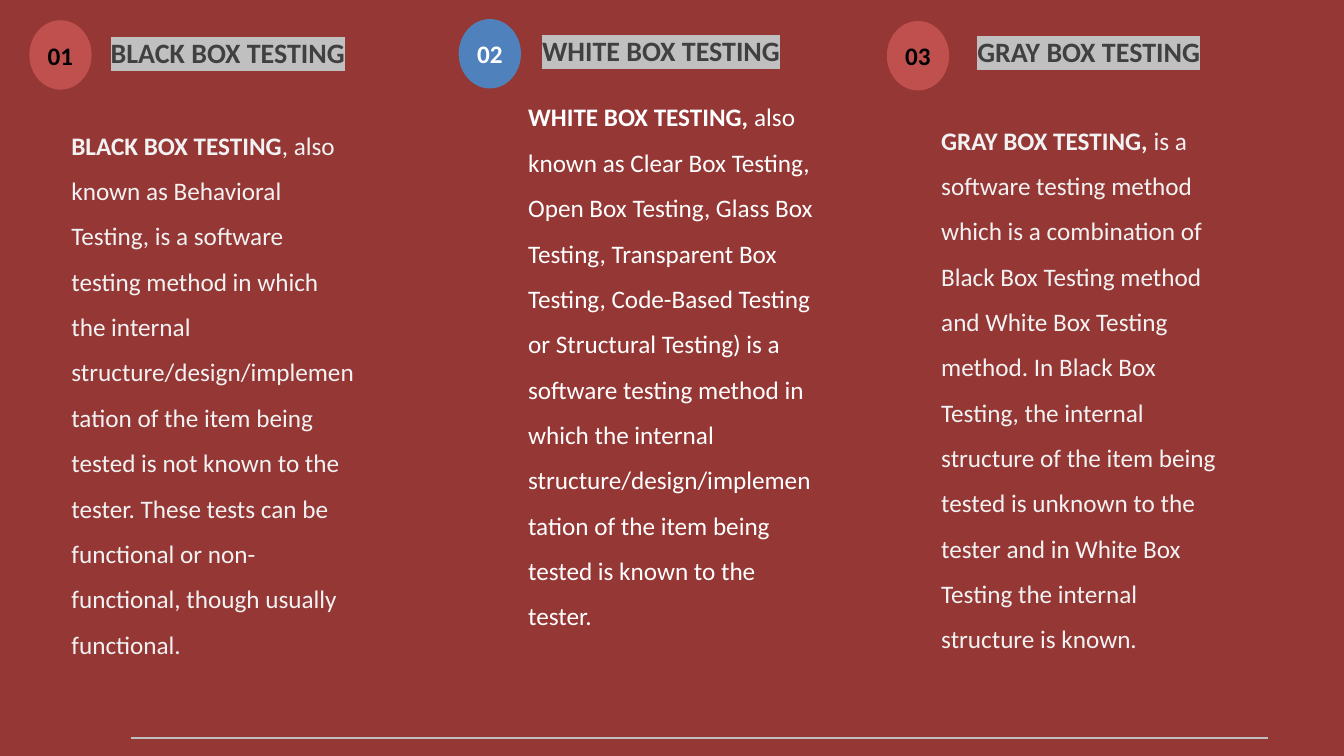
import pptx
import pptx.dml.color
import pptx.enum.shapes
import pptx.enum.text
import pptx.util
from lxml import etree
from pptx.oxml.ns import qn

Cm = pptx.util.Cm
COLORS = {
    "background": "953735", "red": "C0504D", "blue": "4F81BD",
    "black": "000000", "white": "FFFFFF", "off_white": "F2F2F2",
    "heading": "404040", "highlight": "C0C0C0", "rule": "BFBFBF",
}


def rgb(name):
    return pptx.dml.color.RGBColor.from_string(COLORS[name])


class SlideBuilder:
    FONT = "Calibri"

    def __init__(self, slide):
        self.slide = slide
        fill = slide.background.fill
        fill.solid()
        fill.fore_color.rgb = rgb("background")

    def run(self, paragraph, text, color, size=18, bold=True):
        run = paragraph.add_run()
        run.text = text
        formats = {"name": self.FONT, "size": pptx.util.Pt(size), "bold": bold}
        for attribute, value in formats.items():
            setattr(run.font, attribute, value)
        run.font.color.rgb = rgb(color)
        return run

    def text_frame(self, left, top, width, height, right_inset=0.25):
        box = self.slide.shapes.add_textbox(Cm(left), Cm(top), Cm(width), Cm(height))
        formats = {"word_wrap": True, "margin_right": Cm(right_inset)}
        for attribute, value in formats.items():
            setattr(box.text_frame, attribute, value)
        return box.text_frame

    def badge(self, left, top, number, fill, color):
        badge = self.slide.shapes.add_shape(
            pptx.enum.shapes.MSO_SHAPE.OVAL, Cm(left), Cm(top), Cm(1.57), Cm(1.75))
        badge.shadow.inherit = False
        badge.fill.solid()
        badge.fill.fore_color.rgb = rgb(fill)
        badge.line.fill.background()
        formats = {
            "margin_left": 0, "margin_top": 0, "margin_right": 0, "margin_bottom": 0,
            "vertical_anchor": pptx.enum.text.MSO_ANCHOR.MIDDLE,
        }
        for attribute, value in formats.items():
            setattr(badge.text_frame, attribute, value)
        paragraph = badge.text_frame.paragraphs[0]
        paragraph.alignment = pptx.enum.text.PP_ALIGN.CENTER
        self.run(paragraph, number, color)

    def heading(self, left, top, text):
        frame = self.text_frame(left, top, 6.68, 1.6)
        run = self.run(frame.paragraphs[0], text, "heading", size=20)
        # Highlight follows the text fill in the run properties
        highlight = etree.Element(qn("a:highlight"))
        etree.SubElement(highlight, qn("a:srgbClr"), val=COLORS["highlight"])
        run.font._element.find(qn("a:solidFill")).addnext(highlight)

    def description(self, place, term, text, color, right_inset):
        paragraph = self.text_frame(*place, right_inset).paragraphs[0]
        paragraph.line_spacing = 1.5
        self.run(paragraph, term, color)
        self.run(paragraph, text, color, bold=False)

    def rule(self, left, right, y):
        rule = self.slide.shapes.add_connector(
            pptx.enum.shapes.MSO_CONNECTOR.STRAIGHT, Cm(left), Cm(y), Cm(right), Cm(y))
        rule.line.color.rgb = rgb("rule")
        rule.line.width = pptx.util.Pt(1.25)
        etree.SubElement(rule._element.spPr, qn("a:effectLst"))


METHODS = [
    {
        "badge": (0.74, 0.51, "01", "red", "black"),
        "heading": (2.54, 0.76, "BLACK BOX TESTING"),
        "description": (
            (1.55, 2.77, 7.44, 16.28), "BLACK BOX TESTING",
            ", also known as Behavioral Testing, is a software testing method in "
            "which the internal structure/design/implementation of the item being "
            "tested is not known to the tester. These tests can be functional or "
            "non-functional, though usually functional.",
            "off_white", 0),
    },
    {
        "badge": (11.56, 0.48, "02", "blue", "white"),
        "heading": (13.41, 0.71, "WHITE BOX TESTING"),
        "description": (
            (13.06, 2.06, 7.7, 14), "WHITE BOX TESTING, ",
            "also known as Clear Box Testing, Open Box Testing, Glass Box Testing, "
            "Transparent Box Testing, Code-Based Testing or Structural Testing) is "
            "a software testing method in which the internal "
            "structure/design/implementation of the item being tested is known to "
            "the tester.",
            "white", 0.25),
    },
    {
        "badge": (22.35, 0.53, "03", "red", "black"),
        "heading": (24.38, 0.74, "GRAY BOX TESTING"),
        "description": (
            (23.47, 2.64, 7.77, 14), "GRAY BOX TESTING, ",
            "is a software testing method which is a combination of Black Box "
            "Testing method and White Box Testing method. In Black Box Testing, the "
            "internal structure of the item being tested is unknown to the tester "
            "and in White Box Testing the internal structure is known.",
            "off_white", 0.25),
    },
]


def main():
    presentation = pptx.Presentation()
    presentation.slide_width = Cm(33.87)
    presentation.slide_height = Cm(19.05)
    builder = SlideBuilder(presentation.slides.add_slide(presentation.slide_layouts[6]))

    # Three testing methods, one per column
    for method in METHODS:
        builder.badge(*method["badge"])
        builder.heading(*method["heading"])
        builder.description(*method["description"])

    # Footer rule
    builder.rule(3.3, 31.95, 18.59)

    presentation.save("out.pptx")


if __name__ == "__main__":
    main()
